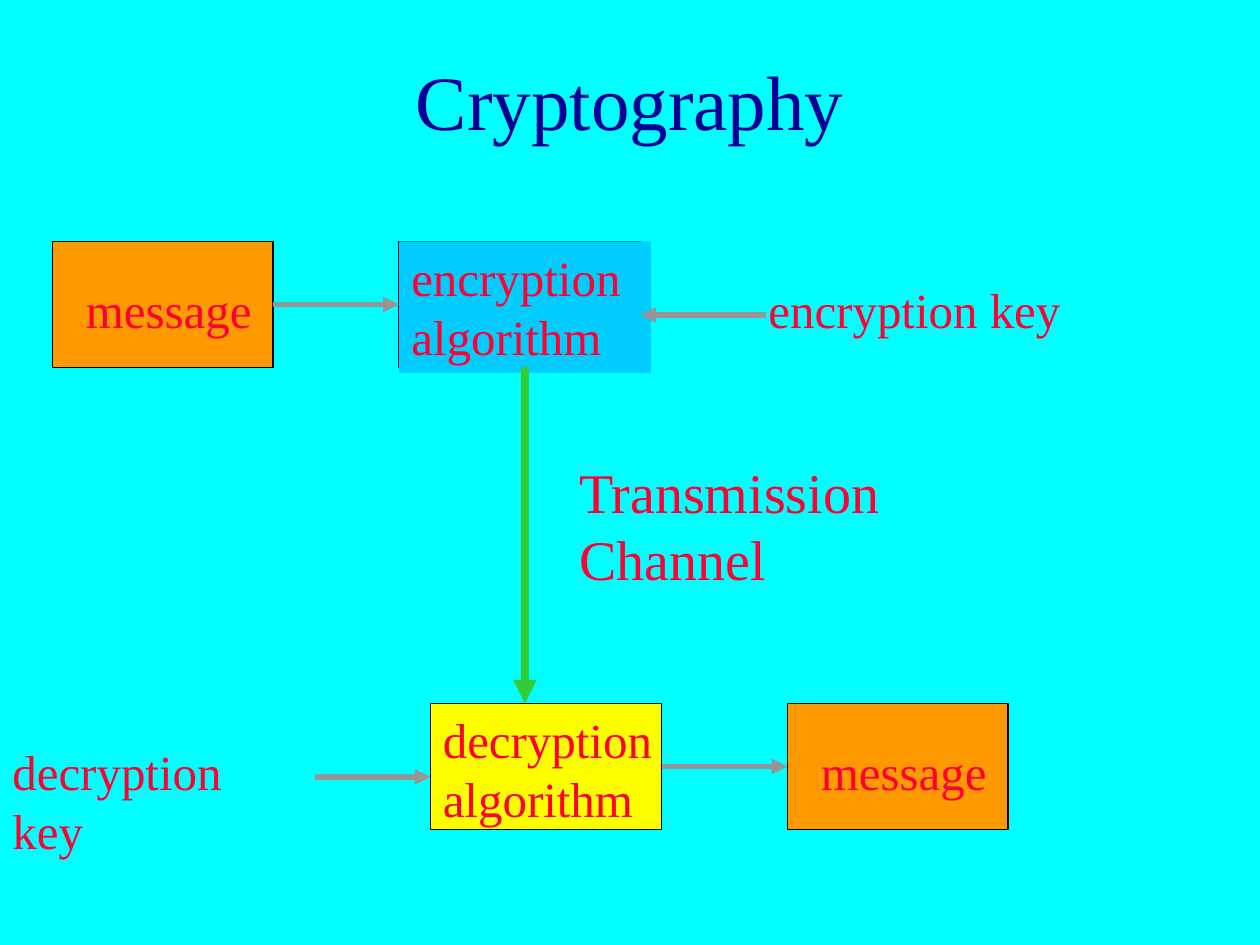
from lxml import etree
from pptx import Presentation
from pptx.dml.color import RGBColor
from pptx.enum.shapes import MSO_CONNECTOR, MSO_SHAPE
from pptx.enum.text import MSO_ANCHOR, PP_ALIGN
from pptx.oxml.ns import qn
from pptx.util import Pt

RECTANGLE = MSO_SHAPE.RECTANGLE
STRAIGHT = MSO_CONNECTOR.STRAIGHT
MIDDLE = MSO_ANCHOR.MIDDLE
CENTER = PP_ALIGN.CENTER

FONT = "Times New Roman"
RED, GREY, ORANGE = "FF0033", "969696", "FF9900"
TOP_ROW, BOTTOM_ROW, BOX_HEIGHT = 138, 402, 72


def color(hex_value):
    """Return the colour for a hex string."""
    return RGBColor.from_string(hex_value)


def format_text(paragraph, size, font_color):
    """Set the font of a whole paragraph."""
    paragraph.font.name = FONT
    paragraph.font.size = Pt(size)
    paragraph.font.color.rgb = color(font_color)


def add_title(slide, text):
    """Place and format the slide title."""
    title = slide.shapes.title
    title.left, title.top, title.width, title.height = Pt(54), Pt(12), Pt(612), Pt(90)
    title.text_frame.text = text
    title.text_frame.vertical_anchor = MIDDLE
    heading = title.text_frame.paragraphs[0]
    heading.alignment = CENTER
    format_text(heading, 44, "000099")


def add_box(slide, left, top, width, fill):
    """Add a filled stage box with a thin black outline."""
    box = slide.shapes.add_shape(RECTANGLE, Pt(left), Pt(top), Pt(width), Pt(BOX_HEIGHT))
    box.shadow.inherit = False
    box.fill.solid()
    box.fill.fore_color.rgb = color(fill)
    box.line.color.rgb = color("000000")
    box.line.width = Pt(1)


def add_label(slide, text, left, top, width, height=41, size=28, fill=None, wrap=True):
    """Add a red label, on a coloured ground if a fill is given."""
    label = slide.shapes.add_textbox(Pt(left), Pt(top), Pt(width), Pt(height))
    if fill:
        label.fill.solid()
        label.fill.fore_color.rgb = color(fill)
    label.text_frame.word_wrap = wrap
    label.text_frame.text = text
    format_text(label.text_frame.paragraphs[0], size, RED)


def add_arrow(slide, start, end, line_color=GREY, width=3):
    """Add a straight arrow with a triangular head at its end."""
    arrow = slide.shapes.add_connector(STRAIGHT, *map(Pt, start + end))
    arrow.line.color.rgb = color(line_color)
    arrow.line.width = Pt(width)
    etree.SubElement(arrow.line._get_or_add_ln(), qn("a:tailEnd"), type="triangle")
    etree.SubElement(arrow._element.spPr, qn("a:effectLst"))


def add_message(slide, left, top):
    """Add an orange message box with its label."""
    add_box(slide, left, top, 126, ORANGE)
    add_label(slide, "message", left + 12, top + 18, 114)


def main():
    """Build the cryptography slide."""
    presentation = Presentation()
    presentation.slide_width, presentation.slide_height = Pt(720), Pt(540)
    slide = presentation.slides.add_slide(presentation.slide_layouts[5])
    slide.background.fill.solid()
    slide.background.fill.fore_color.rgb = color("00FFFF")
    add_title(slide, "Cryptography")

    add_box(slide, 246, BOTTOM_ROW, 132, "FFFF00")
    add_label(slide, "decryption algorithm", 246, BOTTOM_ROW, 150, 75)
    add_box(slide, 228, TOP_ROW, 138, "0000FF")
    add_label(slide, "encryption algorithm", 228, TOP_ROW, 144, 75, fill="00CCFF")

    add_message(slide, 30, TOP_ROW)
    add_message(slide, 450, BOTTOM_ROW)
    add_label(slide, "encryption key", 432, TOP_ROW + 18, 240)
    add_label(slide, "decryption key", 0, BOTTOM_ROW + 18, 181, wrap=False)
    add_label(slide, "Transmission Channel", 324, 258, 228, 84, size=32)

    add_arrow(slide, (156, 174), (228, 174))
    add_arrow(slide, (438, 180), (366, 180))
    add_arrow(slide, (300, 210), (300, 402), "33CC33", 4.5)
    add_arrow(slide, (180, 444), (246, 444))
    add_arrow(slide, (378, 438), (450, 438))

    presentation.save("out.pptx")


if __name__ == "__main__":
    main()
